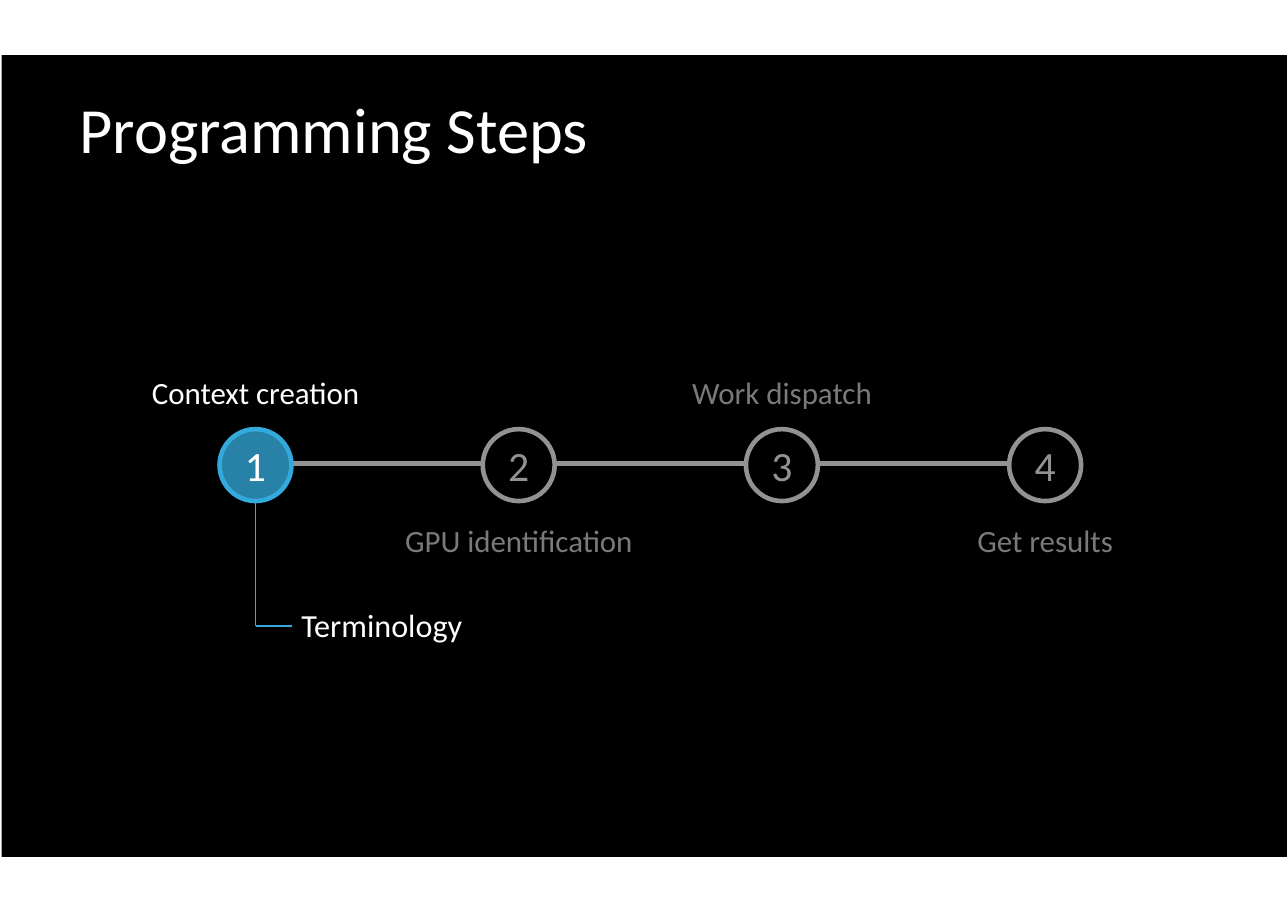
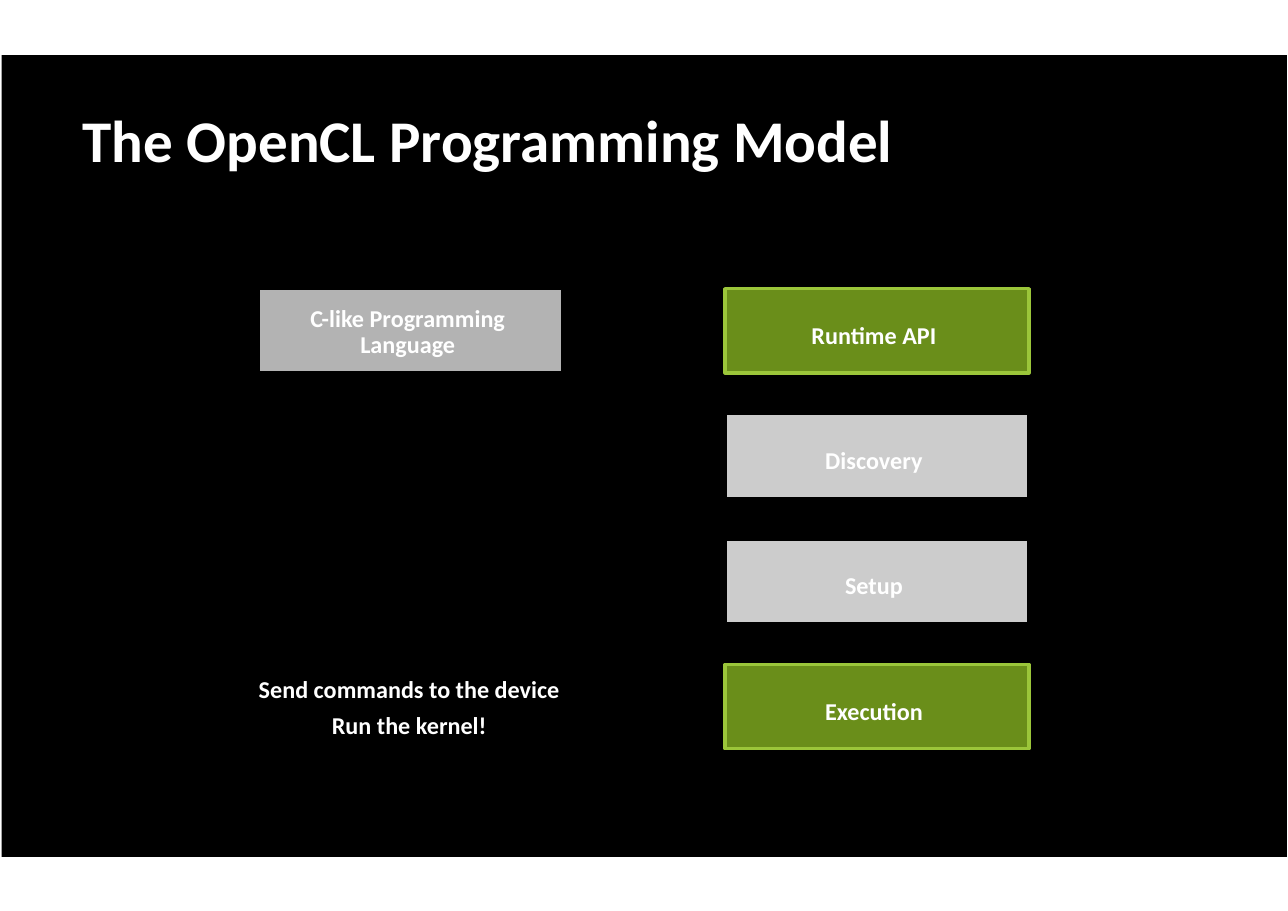
"""Build two slides on OpenCL: the programming steps and the programming model."""
import pptx
import pptx.dml.color
import pptx.enum.shapes
import pptx.enum.text
import pptx.oxml.ns
import pptx.util
from lxml import etree

Pt = pptx.util.Pt
hue = pptx.dml.color.RGBColor.from_string
SHAPE = pptx.enum.shapes.MSO_SHAPE
STRAIGHT = pptx.enum.shapes.MSO_CONNECTOR.STRAIGHT
LEFT = pptx.enum.text.PP_ALIGN.LEFT
CENTER = pptx.enum.text.PP_ALIGN.CENTER
MIDDLE = pptx.enum.text.MSO_ANCHOR.MIDDLE

FONT = "Calibri"
WHITE, BLACK = "FFFFFF", "000000"
GREY, DIM_TEXT = "929292", "7A7A7A"
BLUE, BLUE_FILL = "34AADC", "2882A8"
GREEN, GREEN_FILL = "9BC63A", "6A8E1A"


def place(slide, left, top, width, height, kind=None, fill=BLACK, line=None, weight=0):
    """Add a text box, or a filled preset shape when a kind is given."""
    area = Pt(left), Pt(top), Pt(width), Pt(height)
    if kind is None:
        return slide.shapes.add_textbox(*area)
    shape = slide.shapes.add_shape(kind, *area)
    shape.shadow.inherit = False
    shape.fill.solid()
    shape.fill.fore_color.rgb = hue(fill)
    if line:
        shape.line.color.rgb = hue(line)
        shape.line.width = Pt(weight)
    else:
        shape.line.fill.background()
    return shape


def write(shape, text, size, color=WHITE, bold=False, align=CENTER,
          top=0, right=0, spacing=None, gap=0):
    """Fill a shape with vertically centred text, one paragraph per line."""
    frame = shape.text_frame
    frame.word_wrap = True
    frame.vertical_anchor = MIDDLE
    frame.margin_left = frame.margin_bottom = 0
    frame.margin_top, frame.margin_right = Pt(top), Pt(right)
    frame.text = text
    for number, paragraph in enumerate(frame.paragraphs):
        paragraph.alignment = align
        if spacing:
            paragraph.line_spacing = Pt(spacing)
        if number and gap:
            paragraph.space_before = Pt(gap)
        for run in paragraph.runs:
            run.font.name = FONT
            run.font.size = Pt(size)
            run.font.bold = bold
            run.font.color.rgb = hue(color)


deck = pptx.Presentation()
deck.slide_width, deck.slide_height = Pt(841.7), Pt(595.4)

slides = []
for title, left, top, size, bold in [
    ("Programming Steps", 52, 58.5, 42.1, False),
    ("The OpenCL Programming Model", 54, 66, 38.6, True),
]:
    slide = deck.slides.add_slide(deck.slide_layouts[6])
    place(slide, 1, 36, 840, 524, SHAPE.RECTANGLE)
    write(place(slide, left, top, 730, 50), title, size, bold=bold, align=LEFT)
    slides.append(slide)
steps_slide, model_slide = slides

steps = ["Context creation", "GPU identification", "Work dispatch", "Get results"]
first_x, step_gap, track_y, diameter = 167, 172, 304, 47
last_x = first_x + step_gap * (len(steps) - 1)
branch_y, branch_end = 409, 191

for x1, y1, x2, y2, color, weight in [
    (first_x, track_y - 1, last_x, track_y - 1, GREY, 3),
    (first_x, track_y + diameter / 2, first_x, branch_y, BLUE, 1),
    (first_x, branch_y, branch_end, branch_y, BLUE, 1),
]:
    link = steps_slide.shapes.add_connector(STRAIGHT, Pt(x1), Pt(y1), Pt(x2), Pt(y2))
    link.line.color.rgb = hue(color)
    link.line.width = Pt(weight)
    etree.SubElement(link._element.spPr, pptx.oxml.ns.qn("a:effectLst"))

for index, step in enumerate(steps):
    active = index == 0
    x = first_x + step_gap * index
    circle = place(steps_slide, x - diameter / 2, track_y - diameter / 2, diameter, diameter,
                   SHAPE.OVAL, BLUE_FILL if active else BLACK, BLUE if active else GREY, 3)
    write(circle, str(index + 1), 27.2, WHITE if active else GREY)
    label_y = track_y + (49 if index % 2 else -48)
    label = place(steps_slide, x - 80, label_y - 13, 160, 26)
    write(label, step, 20.2, WHITE if active else DIM_TEXT)

write(place(steps_slide, 197, 395, 130, 26), "Terminology", 21, align=LEFT)

language_x, runtime_x, first_y, row_gap = 169.2, 473.8, 188.6, 81.9
box_width, box_height = 198.7, 55.2
model_text = dict(size=15.8, bold=True, spacing=17)

for text, left, row, fill, line, top in [
    ("C-like Programming\vLanguage", language_x, 0, "B3B3B3", BLACK, 2),
    ("Runtime API", runtime_x, 0, GREEN_FILL, GREEN, 7),
    ("Discovery", runtime_x, 1, "CCCCCC", BLACK, 7),
    ("Setup", runtime_x, 2, "CCCCCC", BLACK, 7),
    ("Execution", runtime_x, 3, GREEN_FILL, GREEN, 7),
]:
    box = place(model_slide, left, first_y + row_gap * row, box_width, box_height,
                SHAPE.RECTANGLE, fill, line, 2)
    write(box, text, top=top, right=4, **model_text)

execution_note = place(model_slide, language_x - 11, first_y + row_gap * 3 + 1,
                       box_width + 20, box_height)
write(execution_note, "Send commands to the device\nRun the kernel!", gap=6.5, **model_text)

deck.save("out.pptx")
